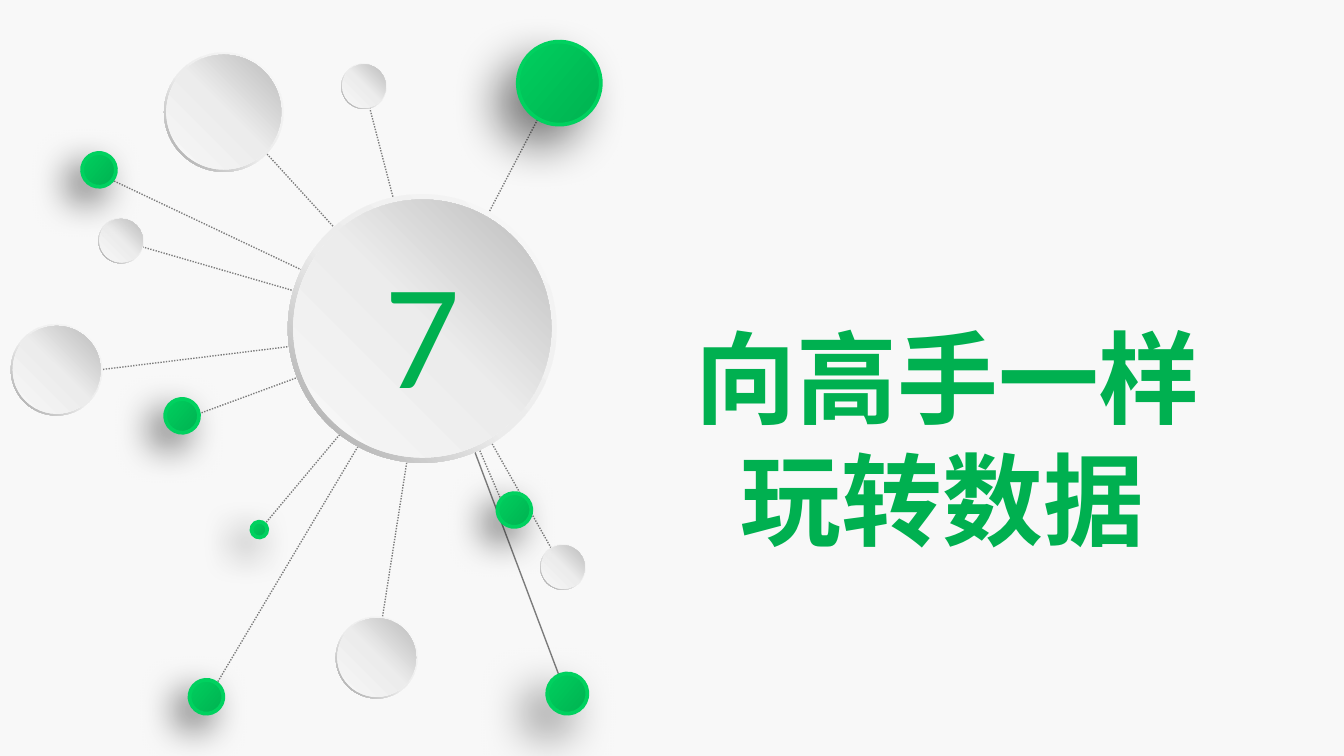
import pptx
import pptx.util
import pptx.dml.color
import pptx.enum.dml
import pptx.enum.shapes
import pptx.enum.text
import pptx.oxml
import pptx.oxml.ns
from lxml import etree

Cm, Pt = pptx.util.Cm, pptx.util.Pt
SHAPE = pptx.enum.shapes.MSO_SHAPE
qn = pptx.oxml.ns.qn

COLORS = {"page": "F8F8F8", "green": "00B050", "bright": "00D15F", "spoke": "7C7C7C",
          "mist": "ECECEC", "silver": "BABABA", "steel": "A1A1A1", "shadow": "000000"}
NUMBER = "7"
NUMBER_FONT = "Calibri"
TITLE = [("向高手一样", 0), ("玩转数据", 0.85)]
TITLE_FONT = "Noto Sans CJK SC"

HUB = (8.08, 6.23)
SPOKES = [(4.24, 2.03), (2.11, 3.4), (2.29, 4.55), (1.07, 7.09), (5, 9.91), (3.76, 7.82),
          (9.47, 9.45), (10.62, 10.72), (7.11, 12.42), (4.09, 12.93), (6.88, 1.63), (10.52, 1.57)]
SOLID_SPOKE = ((10.72, 13.18), (8.13, 6.3))

NEAR = (60, 20, 10)
FAR = (50, 25, 15)
BEADS = [(10.57, 1.57, 1.57, FAR), (9.72, 9.64, 0.64, NEAR), (3.44, 7.86, 0.64, NEAR),
         (1.87, 3.21, 0.64, NEAR), (4.9, 10.01, 0.3, NEAR), (3.9, 13.17, 0.64, NEAR),
         (10.72, 13.11, 0.76, FAR)]
PEARLS = [(4.23, 2.12, 2.26), (1.07, 6.99, 1.73), (6.88, 1.63, 0.86), (2.29, 4.55, 0.86),
          (7.12, 12.43, 1.55), (10.64, 10.72, 0.86)]
CORE = (7.98, 6.21, 5.08)

RIM_STOPS = [(0, "page"), (55, "mist"), (100, "steel")]
FACE_STOPS = [(0, "page"), (51, "mist"), (100, "silver")]
BEAD_STOPS = [(0, "green"), (100, "bright")]
EDGE_STOPS = [(100, "green"), (0, "bright")]


def rgb(name):
    return pptx.dml.color.RGBColor.from_string(COLORS[name])


def gradient(stops, angle):
    marks = "".join(f'<a:gs pos="{pos * 1000}"><a:srgbClr val="{COLORS[name]}"/></a:gs>'
                    for pos, name in stops)
    return pptx.oxml.parse_xml(f'<a:gradFill {pptx.oxml.ns.nsdecls("a")} rotWithShape="1"><a:gsLst>{marks}'
                               f'</a:gsLst><a:lin ang="{angle * 60000}" scaled="0"/></a:gradFill>')


def paint(fill, stops, angle):
    fill.solid()
    old = fill._xPr.find(qn("a:solidFill"))
    old.getparent().replace(old, gradient(stops, angle))


def disc(shapes, kind, x, y, size, stops, angle):
    shape = shapes.add_shape(kind, Cm(x - size / 2), Cm(y - size / 2), Cm(size), Cm(size))
    shape.shadow.inherit = False
    paint(shape.fill, stops, angle)
    shape.line.fill.background()
    return shape


def spoke(start, end, dotted=True):
    line = slide.shapes.add_connector(pptx.enum.shapes.MSO_CONNECTOR.STRAIGHT,
                                      *(Cm(v) for v in (*start, *end)))
    line.line.color.rgb = rgb("spoke")
    line.line.width = Pt(0.75)
    if dotted:
        line.line.dash_style = pptx.enum.dml.MSO_LINE.ROUND_DOT
    etree.SubElement(line._element.spPr, qn("a:effectLst"))


def bead(x, y, size, shade):
    shape = disc(slide.shapes, SHAPE.OVAL, x, y, size, BEAD_STOPS, 45)
    shape.rotation = 175
    shape.line.width = Pt(2)
    paint(shape.line.fill, EDGE_STOPS, 45)
    alpha, blur, distance = shade
    effects = shape._element.spPr.find(qn("a:effectLst"))
    effects.append(pptx.oxml.parse_xml(
        f'<a:outerShdw {pptx.oxml.ns.nsdecls("a")} blurRad="{Pt(blur)}" dist="{Pt(distance)}" '
        f'dir="{135 * 60000}" algn="ctr" rotWithShape="0"><a:srgbClr val="{COLORS["shadow"]}">'
        f'<a:alpha val="{alpha * 1000}"/></a:srgbClr></a:outerShdw>'))


def pearl(x, y, size):
    group = slide.shapes.add_group_shape()
    rim = disc(group.shapes, SHAPE.DONUT, x, y, size, RIM_STOPS, 135)
    rim.adjustments[0] = 0.05
    return disc(group.shapes, SHAPE.OVAL, x, y, size * 0.96, FACE_STOPS, 315)


deck = pptx.Presentation()
deck.slide_width, deck.slide_height = Cm(25.4), Cm(14.29)
slide = deck.slides.add_slide(deck.slide_layouts[6])
slide.background.fill.solid()
slide.background.fill.fore_color.rgb = rgb("page")

for start in SPOKES:
    spoke(start, HUB)
spoke(*SOLID_SPOKE, dotted=False)
for spot in PEARLS:
    pearl(*spot)
for spot in BEADS:
    bead(*spot)

core = pearl(*CORE)
core.text_frame.vertical_anchor = pptx.enum.text.MSO_ANCHOR.MIDDLE
number = core.text_frame.paragraphs[0]
number.text = NUMBER
number.alignment = pptx.enum.text.PP_ALIGN.CENTER
number.font.name = NUMBER_FONT
number.font.size = Pt(80)
number.font.color.rgb = rgb("green")

title = slide.shapes.add_textbox(Cm(12.9), Cm(5.69), Cm(11.4), Cm(4.88)).text_frame
title.word_wrap = True
title.margin_top = Cm(0.25)
for index, (words, indent) in enumerate(TITLE):
    row = title.add_paragraph() if index else title.paragraphs[0]
    row.text = words
    row.line_spacing = Pt(65.5)
    row.font.name = TITLE_FONT
    row.font.size = Pt(54)
    row.font.bold = True
    row.font.color.rgb = rgb("green")
    props = row._p.pPr
    props.set("marL", str(Cm(indent)))
    props.set("indent", "0")
    etree.SubElement(props.find(qn("a:defRPr")), qn("a:ea"), typeface=TITLE_FONT)

deck.save("out.pptx")
